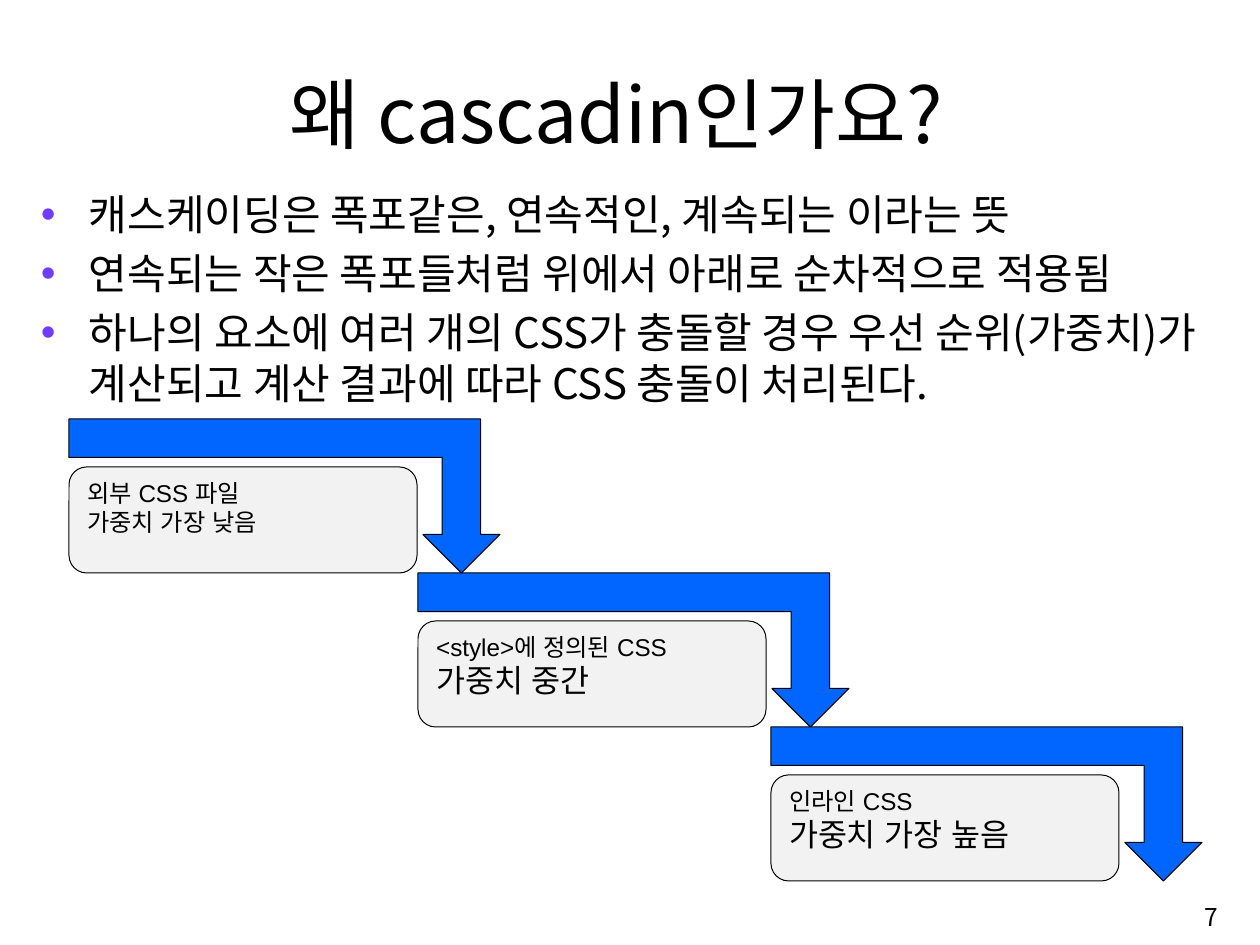
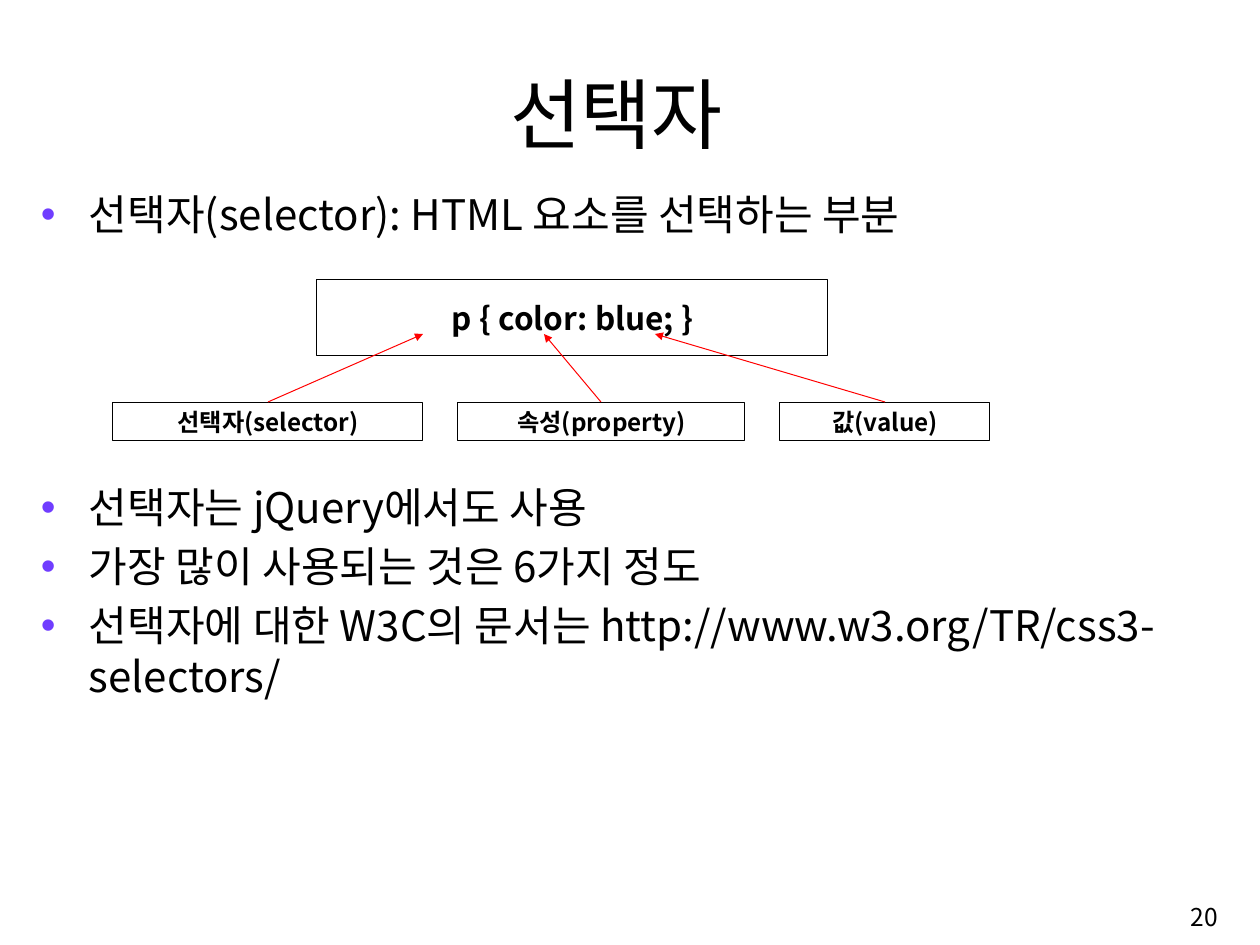
from lxml.etree import SubElement
from pptx import Presentation
from pptx.dml.color import RGBColor
from pptx.enum.shapes import MSO_CONNECTOR as CONNECTOR, MSO_SHAPE as SHAPE
from pptx.enum.text import MSO_ANCHOR as ANCHOR, PP_ALIGN as ALIGN
from pptx.oxml.ns import qn
from pptx.util import Pt

PX = 9427
KOREAN, LATIN = "Noto Sans CJK KR", "Arial"
BLACK = RGBColor(0x00, 0x00, 0x00)
WHITE = RGBColor(0xFF, 0xFF, 0xFF)
BLUE = RGBColor(0x00, 0x66, 0xFF)
GRAY = RGBColor(0xF2, 0xF2, 0xF2)
RED = RGBColor(0xFF, 0x00, 0x00)
BULLET = "703DFF"


def write(shape, lines, size, font=KOREAN, bold=False, align=ALIGN.LEFT,
          anchor=ANCHOR.TOP, margins=(10, 5), bulleted=False):
    """Fill a shape with (text, size, space before) lines; size None means the default."""
    frame = shape.text_frame
    frame.word_wrap = True
    frame.vertical_anchor = anchor
    frame.margin_left = frame.margin_right = margins[0] * PX
    frame.margin_top = frame.margin_bottom = margins[1] * PX
    for number, (text, line_size, before) in enumerate(lines):
        paragraph = frame.add_paragraph() if number else frame.paragraphs[0]
        paragraph.alignment = align
        paragraph.space_before = Pt(before)
        run = paragraph.add_run()
        run.text = text
        run.font.name = font
        run.font.size = Pt(line_size or size)
        run.font.bold = bold
        run.font.color.rgb = BLACK
        SubElement(run._r.rPr, qn("a:ea"), typeface=font)
        if bulleted:
            paragraph.line_spacing = Pt(37.8)
            props = paragraph._p.get_or_add_pPr()
            props.set("marL", str(48 * PX))
            props.set("indent", str(-48 * PX))
            color = SubElement(props, qn("a:buClr"))
            SubElement(color, qn("a:srgbClr"), val=BULLET)
            SubElement(props, qn("a:buFont"), typeface=LATIN)
            SubElement(props, qn("a:buChar"), char="•")


def add_outlined(slide, kind, box, fill=None):
    shape = slide.shapes.add_shape(kind, *(length * PX for length in box))
    shape.shadow.inherit = False
    shape.line.color.rgb = BLACK
    shape.line.width = Pt(0.75)
    if fill is None:
        shape.fill.background()
    else:
        shape.fill.solid()
        shape.fill.fore_color.rgb = fill
    return shape


deck = Presentation()
deck.slide_width, deck.slide_height = 1260 * PX, 945 * PX

# Title, bullets and page number of each slide; a bullet is (text, size, space before)
PAGES = [
    ("왜 cascadin인가요?", "7", [
        ("캐스케이딩은 폭포같은, 연속적인, 계속되는 이라는 뜻", None, 6),
        ("연속되는 작은 폭포들처럼 위에서 아래로 순차적으로 적용됨", None, 6),
        ("하나의 요소에 여러 개의 CSS가 충돌할 경우 우선 순위(가중치)가 "
         "계산되고 계산 결과에 따라 CSS 충돌이 처리된다.", None, 6),
    ]),
    ("선택자", "20", [
        ("선택자(selector): HTML 요소를 선택하는 부분", None, 6),
        ("선택자는 jQuery에서도 사용", None, 180),
        ("가장 많이 사용되는 것은 6가지 정도", None, 6),
        ("선택자에 대한 W3C의 문서는 http://www.w3.org/TR/css3-selectors/", None, 6),
    ]),
]
slides = []
for title, page_number, bullets in PAGES:
    slide = deck.slides.add_slide(deck.slide_layouts[6])
    slide.background.fill.solid()
    slide.background.fill.fore_color.rgb = WHITE
    for box, lines, style in [
        ((102, 59, 1029, 105), [(title, None, 0)],
         dict(size=57.2, align=ALIGN.CENTER, anchor=ANCHOR.BOTTOM)),
        ((31, 183, 1195, 685), bullets, dict(size=31.2, bulleted=True)),
        ((968, 888, 260, 58), [(page_number, None, 0)],
         dict(size=18.2, align=ALIGN.RIGHT, anchor=ANCHOR.MIDDLE)),
    ]:
        write(slide.shapes.add_textbox(*(length * PX for length in box)), lines, **style)
    slides.append(slide)
cascade, selector = slides

# Cascade: each step drops by the height of one arrow
STEP_HEIGHT = 154
STEPS = [
    (69, "외부 CSS 파일", "가중치 가장 낮음", 18),
    (418, "<style>에 정의된 CSS", "가중치 중간", 23.4),
    (771, "인라인 CSS", "가중치 가장 높음", 23.4),
]
for step, (left, source, weight, weight_size) in enumerate(STEPS):
    top = 419 + step * STEP_HEIGHT
    arrow = add_outlined(cascade, SHAPE.BENT_UP_ARROW, (left, top, 431, STEP_HEIGHT), BLUE)
    arrow._element.spPr.find(qn("a:xfrm")).set("flipV", "1")
    card = add_outlined(cascade, SHAPE.ROUNDED_RECTANGLE, (left, top + 48, 348, 106), GRAY)
    write(card, [(source, None, 0), (weight, weight_size, 0)], 18, font=LATIN, margins=(13, 6))

# Anatomy of a CSS rule
rule = add_outlined(selector, SHAPE.RECTANGLE, (317, 280, 511, 76))
write(rule, [("p { color: blue; }", None, 0)], 23.4, bold=True,
      align=ALIGN.CENTER, anchor=ANCHOR.MIDDLE, margins=(13, 6))

LABEL_TOP, POINT_Y = 402, 334
PARTS = [
    ("선택자(selector)", 113, 310, 423),
    ("속성(property)", 458, 287, 544),
    ("값(value)", 780, 210, 655),
]
for part, left, width, point_x in PARTS:
    label = add_outlined(selector, SHAPE.RECTANGLE, (left, LABEL_TOP, width, 39))
    write(label, [(part, None, 0)], 18, bold=True,
          align=ALIGN.CENTER, anchor=ANCHOR.MIDDLE)
    pointer = selector.shapes.add_connector(
        CONNECTOR.STRAIGHT, (left + width // 2) * PX, LABEL_TOP * PX, point_x * PX, POINT_Y * PX)
    pointer.line.color.rgb = RED
    pointer.line.width = Pt(0.75)
    SubElement(pointer.line._get_or_add_ln(), qn("a:tailEnd"), type="triangle")
    SubElement(pointer._element.spPr, qn("a:effectLst"))

deck.save("out.pptx")
